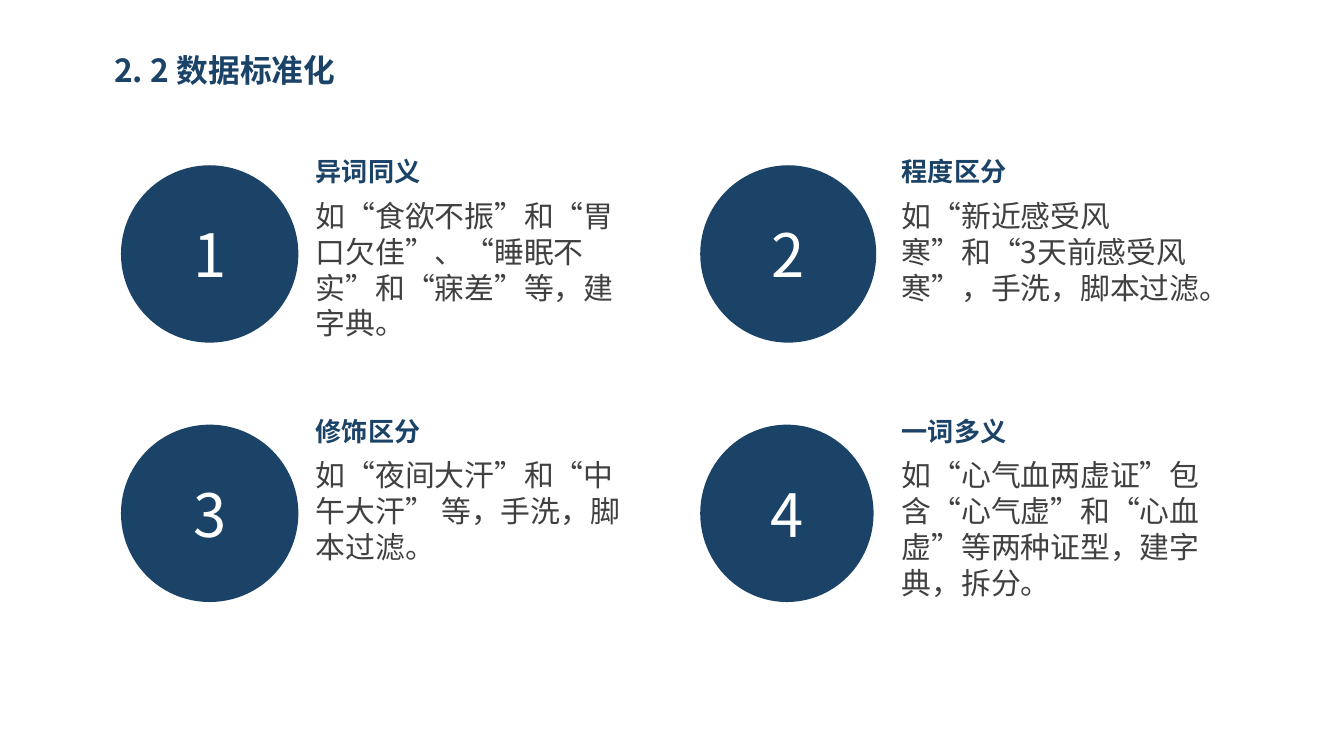
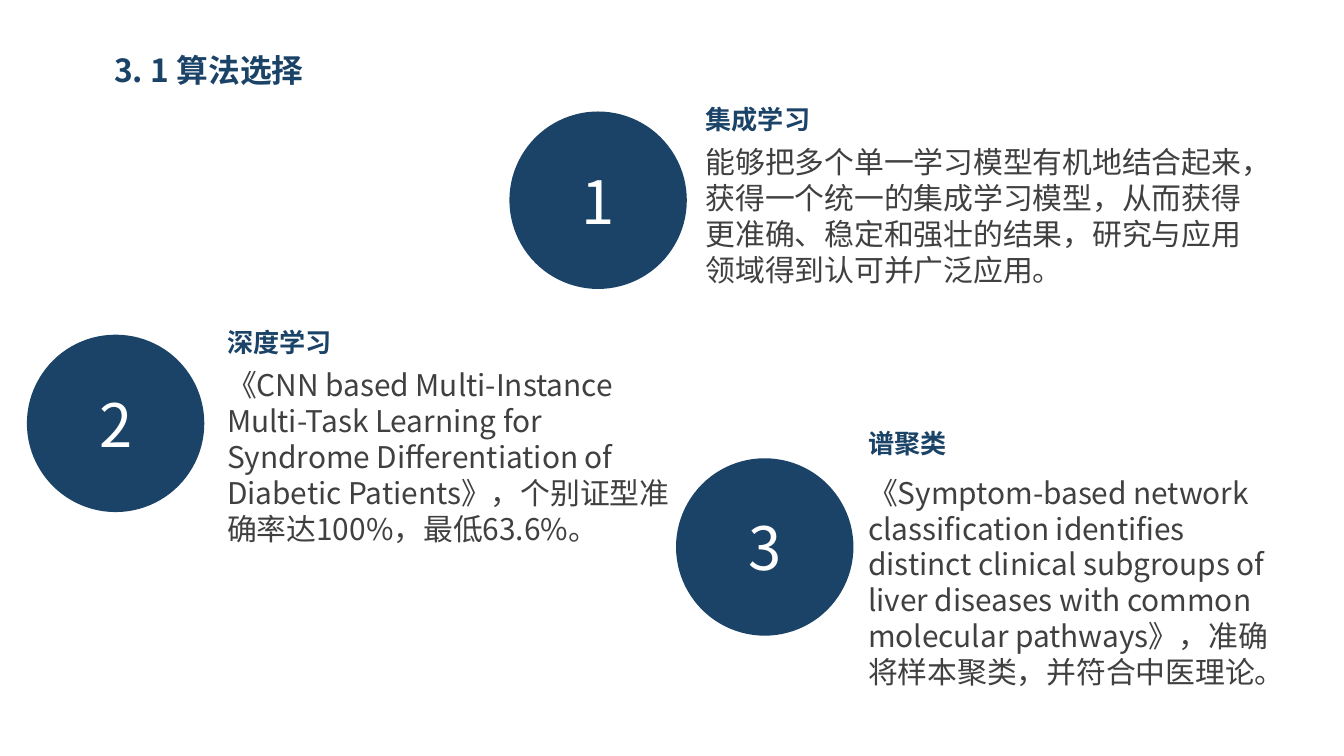
from dataclasses import dataclass

from pptx import Presentation
from pptx.dml.color import RGBColor
from pptx.enum.lang import MSO_LANGUAGE_ID
from pptx.enum.shapes import MSO_SHAPE
from pptx.enum.text import MSO_ANCHOR, MSO_AUTO_SIZE, PP_ALIGN
from pptx.oxml.ns import qn
from pptx.util import Inches, Pt

DISC = MSO_SHAPE.FLOWCHART_CONNECTOR
CHINESE = MSO_LANGUAGE_ID.SIMPLIFIED_CHINESE
TOP, MIDDLE = MSO_ANCHOR.TOP, MSO_ANCHOR.MIDDLE
LEFT, CENTER = PP_ALIGN.LEFT, PP_ALIGN.CENTER
GROW, FIXED = MSO_AUTO_SIZE.SHAPE_TO_FIT_TEXT, MSO_AUTO_SIZE.NONE

NAVY = RGBColor(0x1B, 0x43, 0x67)
GREY = RGBColor(0x40, 0x40, 0x40)
WHITE = RGBColor(0xFF, 0xFF, 0xFF)
FONT = "Noto Sans CJK SC"

# Shared measures, in inches unless noted
SLIDE_W, SLIDE_H = 10, 5.625
TITLE_BOX = (0.78, 0.34, 2.47, 0.36)
DISC_SIZE = 1.32
HEADING_W, HEADING_H = 1.53, 0.24
BODY_LINE = 0.27
LINE_FACTOR = 1.2
TITLE_ONLY = 5

# Formats of the text roles
TITLE = {"size": Pt(17), "bold": True, "color": NAVY}
NUMBER = {"size": Pt(32), "bold": False, "color": WHITE}
HEADING = {"size": Pt(14), "bold": True, "color": NAVY}
BODY = {"size": Pt(16), "bold": False, "color": GREY}


@dataclass
class Point:
    """One numbered point; text offsets are relative to its disc."""
    heading: str
    body: str
    lines: int
    left: float
    top: float
    body_w: float
    text_dx: float = 1.46
    heading_dy: float = -0.06
    body_dy: float = 0.24
    disc_w: float = DISC_SIZE


def inches(*lengths):
    return [Inches(length) for length in lengths]


def write(shape, text, style, align=LEFT, anchor=TOP, insets=(0, 0), fit=GROW, before=0):
    frame = shape.text_frame
    side, edge = inches(*insets)
    frame_format = {
        "word_wrap": True, "auto_size": fit, "vertical_anchor": anchor,
        "margin_left": side, "margin_right": side,
        "margin_top": edge, "margin_bottom": edge,
    }
    for key, value in frame_format.items():
        setattr(frame, key, value)

    paragraph = frame.paragraphs[0]
    paragraph_format = {
        "alignment": align, "space_before": Pt(before),
        "line_spacing": Pt(style["size"].pt * LINE_FACTOR),
    }
    for key, value in paragraph_format.items():
        setattr(paragraph, key, value)

    run = paragraph.add_run()
    run.text = text
    font_format = {"name": FONT, "size": style["size"], "bold": style["bold"],
                   "language_id": CHINESE}
    for key, value in font_format.items():
        setattr(run.font, key, value)
    run.font.color.rgb = style["color"]
    # East Asian glyphs need their own typeface entry
    latin = run.font._element.find(qn("a:latin"))
    east_asian = latin.makeelement(qn("a:ea"), {"typeface": FONT})
    latin.addnext(east_asian)


def add_titled_slide(prs, text):
    slide = prs.slides.add_slide(prs.slide_layouts[TITLE_ONLY])
    title = slide.shapes.title
    title.left, title.top, title.width, title.height = inches(*TITLE_BOX)
    write(title, text, TITLE, insets=(0.07, 0.04))
    return slide


def add_point(slide, number, point):
    # Numbered disc
    disc = slide.shapes.add_shape(
        DISC, *inches(point.left, point.top, point.disc_w, DISC_SIZE))
    disc.shadow.inherit = False
    disc.fill.solid()
    disc.fill.fore_color.rgb = NAVY
    disc.line.fill.background()
    write(disc, str(number), NUMBER, CENTER, MIDDLE, fit=FIXED)

    # Heading and explanation beside it
    text_left = point.left + point.text_dx
    heading = slide.shapes.add_textbox(
        *inches(text_left, point.top + point.heading_dy, HEADING_W, HEADING_H))
    write(heading, point.heading, HEADING, before=2.8)
    body = slide.shapes.add_textbox(
        *inches(text_left, point.top + point.body_dy, point.body_w,
                point.lines * BODY_LINE))
    write(body, point.body, BODY)


def add_points(slide, points):
    for number, point in enumerate(points, 1):
        add_point(slide, number, point)


def build_standardisation(prs):
    slide = add_titled_slide(prs, "2. 2 数据标准化")
    columns, rows = (0.9, 5.21), (1.23, 3.16)
    text_offsets = (1.45, 1.5)
    cases = [
        ("异词同义", "如“食欲不振”和“胃口欠佳”、“睡眠不实”和“寐差”等，建字典。", 3, 1.32),
        ("程度区分", "如“新近感受风寒”和“3天前感受风寒”，手洗，脚本过滤。", 3, 1.31),
        ("修饰区分", "如“夜间大汗”和“中午大汗” 等，手洗，脚本过滤。", 3, 1.32),
        ("一词多义", "如“心气血两虚证”包含“心气虚”和“心血虚”等两种证型，建字典，拆分。", 4, 1.29),
    ]
    points = []
    for index, (heading, body, lines, disc_w) in enumerate(cases):
        row, column = divmod(index, len(columns))
        points.append(Point(
            heading, body, lines, columns[column], rows[row], body_w=2.36,
            text_dx=text_offsets[column], heading_dy=-0.07, disc_w=disc_w))
    add_points(slide, points)


def build_algorithms(prs):
    slide = add_titled_slide(prs, "3. 1 算法选择")
    add_points(slide, [
        Point("集成学习",
              "能够把多个单一学习模型有机地结合起来，获得一个统一的集成学习模型，"
              "从而获得更准确、稳定和强壮的结果，研究与应用领域得到认可并广泛应用。",
              4, left=3.79, top=0.83, body_w=4.02),
        Point("深度学习",
              "《CNN based Multi-Instance Multi-Task Learning for Syndrome "
              "Differentiation of Diabetic Patients》，个别证型准确率达100%，最低63.6%。",
              5, left=0.2, top=2.49, body_w=3.34, text_dx=1.49),
        Point("谱聚类",
              "《Symptom-based network classiﬁcation identiﬁes distinct clinical "
              "subgroups of liver diseases with common molecular pathways》，"
              "准确将样本聚类，并符合中医理论。",
              6, left=5.03, top=3.41, body_w=3.1, text_dx=1.43,
              heading_dy=-0.23, body_dy=0.12),
    ])


def main():
    prs = Presentation()
    prs.slide_width, prs.slide_height = inches(SLIDE_W, SLIDE_H)
    build_standardisation(prs)
    build_algorithms(prs)
    prs.save("out.pptx")


if __name__ == "__main__":
    main()
